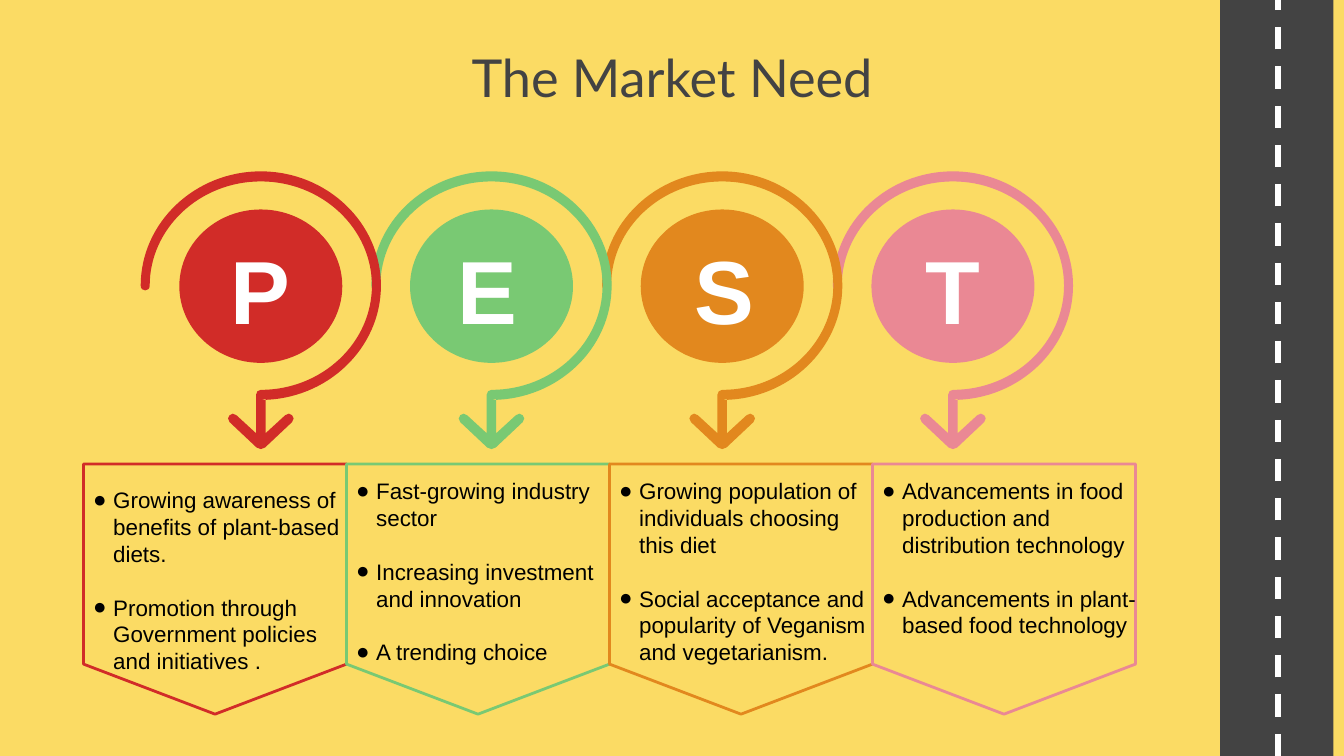
from collections import namedtuple
from itertools import pairwise

from lxml.etree import SubElement
from pptx import Presentation
from pptx.dml.color import RGBColor
from pptx.enum.dml import MSO_LINE
from pptx.enum.shapes import MSO_CONNECTOR, MSO_SHAPE
from pptx.enum.text import MSO_ANCHOR, MSO_AUTO_SIZE, PP_ALIGN
from pptx.oxml.ns import qn
from pptx.util import Cm, Pt

COLORS = {
    "background": "FBDB64",
    "road": "434343",
    "white": "FFFFFF",
    "black": "000000",
    "red": "D12C28",
    "green": "79C973",
    "orange": "E2881E",
    "pink": "EA8894",
}
SLIDE_WIDTH, SLIDE_HEIGHT = 25.4, 14.29

Topic = namedtuple("Topic", "letter color letter_shift text_drop text_height points")
TOPICS = [
    Topic("P", "red", 0, 0.17, 4.11, [
        "Growing awareness of benefits of plant-based diets.",
        "Promotion through Government policies and initiatives ."]),
    Topic("E", "green", -0.07, 0, 4.62, [
        "Fast-growing industry sector",
        "Increasing investment and innovation",
        "A trending choice"]),
    Topic("S", "orange", 0.04, 0, 4.62, [
        "Growing population of individuals choosing this diet",
        "Social acceptance and popularity of Veganism and vegetarianism."]),
    Topic("T", "pink", 0, 0, 4.11, [
        "Advancements in food production and distribution technology",
        "Advancements in plant-based food technology"]),
]

# Right half of the arrow below a ring, as offsets in cm from the ring's centre
ARROW_HALF = [(0.09, 2.79), (0.46, 2.45), (0.53, 2.42), (0.59, 2.45),
              (0.62, 2.51), (0.59, 2.58), (0.08, 3.06), (0, 3.09)]
# Control point distance that makes a Bezier curve a quarter of an ellipse
QUARTER = 0.55


def rgb(name):
    return RGBColor.from_string(COLORS[name])


def box(left, top, width, height):
    return Cm(left), Cm(top), Cm(width), Cm(height)


def paint(shape, fill=None, line=None, width=1.5):
    shape.shadow.inherit = False
    if fill:
        shape.fill.solid()
        shape.fill.fore_color.rgb = rgb(fill)
    else:
        shape.fill.background()
    if line:
        shape.line.color.rgb = rgb(line)
        shape.line.width = Pt(width)
    else:
        shape.line.fill.background()


def set_font(paragraph, name, size, color, bold=False):
    font = paragraph.font
    font.name, font.size, font.bold = name, Pt(size), bold
    font.color.rgb = rgb(color)


def set_frame(frame, auto_size):
    frame.word_wrap = True
    frame.auto_size = auto_size
    frame.vertical_anchor = MSO_ANCHOR.TOP
    frame.margin_left = frame.margin_right = Cm(0.25)
    frame.margin_top = frame.margin_bottom = Cm(0.25)


def add_text_box(slide, left, top, width, height):
    frame = slide.shapes.add_textbox(*box(left, top, width, height)).text_frame
    set_frame(frame, MSO_AUTO_SIZE.SHAPE_TO_FIT_TEXT)
    return frame


def add_road(slide, left, width):
    road = slide.shapes.add_shape(
        MSO_SHAPE.RECTANGLE, *box(left, 0, width, SLIDE_HEIGHT))
    paint(road, fill="road")
    middle = Cm(left + width / 2 + 0.02)
    lane = slide.shapes.add_connector(
        MSO_CONNECTOR.STRAIGHT, middle, Cm(SLIDE_HEIGHT), middle, Cm(0))
    lane.line.color.rgb = rgb("white")
    lane.line.width = Pt(3)
    lane.line.dash_style = MSO_LINE.DASH
    SubElement(lane.line._get_or_add_ln().getparent(), qn("a:effectLst"))


def add_title(slide, text, left, top, width, height):
    title = slide.shapes.title
    title.left, title.top, title.width, title.height = box(left, top, width, height)
    title.text_frame.text = text
    set_frame(title.text_frame, MSO_AUTO_SIZE.NONE)
    paragraph = title.text_frame.paragraphs[0]
    paragraph.alignment = PP_ALIGN.CENTER
    set_font(paragraph, "Lato", 28, "road")


def quarter_arcs(corners):
    """Return one three-point curve for each pair of neighbouring ellipse vertices."""
    return [[(x1 + QUARTER * x2, y1 + QUARTER * y2),
             (x2 + QUARTER * x1, y2 + QUARTER * y1), (x2, y2)]
            for (x1, y1), (x2, y2) in pairwise(corners)]


def swirl_segments():
    """Return a ring ending in a down arrow: one point is a line, three are a curve."""
    outer = quarter_arcs([(0, 2.16), (2.27, 0), (0, -2.16), (-2.27, 0)])
    cap = [[(-2.27, 0.12), (-2.1, 0.12), (-2.1, 0)]]
    inner = quarter_arcs([(-2.1, 0), (0, -1.97), (2.1, 0), (0, 1.97)])
    shoulder = [[(-0.05, 1.97), (-0.09, 2.01), (-0.09, 2.06)]]
    left_half = [[(-x, y)] for x, y in ARROW_HALF]
    right_half = [[point] for point in ARROW_HALF[-2::-1]]
    return outer + cap + inner + shoulder + left_half + right_half + [[(0.09, 2.14)]]


def add_curved_freeform(slide, start, segments):
    """Build an outline, then join each three-point segment into a Bezier curve."""
    builder = slide.shapes.build_freeform(*start)
    builder.add_line_segments([point for segment in segments for point in segment])
    shape = builder.convert_to_shape()
    lines = iter(list(shape._element.iter(qn("a:lnTo"))))
    for segment in segments:
        group = [next(lines) for _ in segment]
        if len(group) == 3:
            group[0].tag = qn("a:cubicBezTo")
            for line in group[1:]:
                group[0].append(line[0])
                line.getparent().remove(line)
    return shape


def add_swirl(slide, topic, center_x, center_y):
    segments = [[(Cm(center_x + x), Cm(center_y + y)) for x, y in segment]
                for segment in swirl_segments()]
    start = Cm(center_x), Cm(center_y + 2.16)
    paint(add_curved_freeform(slide, start, segments), fill=topic.color)

    width, height = 3.08, 2.9
    disc = slide.shapes.add_shape(MSO_SHAPE.OVAL, *box(
        center_x - width / 2, center_y + 0.01 - height / 2, width, height))
    paint(disc, fill=topic.color)

    frame = add_text_box(slide, center_x + topic.letter_shift - 1.37,
                         center_y - 1.21, 2.74, 2.57)
    paragraph = frame.paragraphs[0]
    paragraph.text = topic.letter
    paragraph.alignment = PP_ALIGN.CENTER
    set_font(paragraph, "Arial", 48, "white", bold=True)


def add_bullet(paragraph):
    properties = paragraph._p.get_or_add_pPr()
    properties.set("marL", str(Cm(0.64)))
    properties.set("indent", str(-Cm(0.38)))
    color = SubElement(properties, qn("a:buClr"))
    SubElement(color, qn("a:srgbClr")).set("val", COLORS["black"])
    SubElement(properties, qn("a:buSzPts")).set("val", "1200")
    SubElement(properties, qn("a:buFont")).set("typeface", "Arial")
    SubElement(properties, qn("a:buChar")).set("char", "●")


def add_card(slide, topic, left, top, width, height):
    card = slide.shapes.add_shape(
        MSO_SHAPE.FLOWCHART_OFFPAGE_CONNECTOR, *box(left, top, width, height))
    paint(card, line=topic.color)

    overhang = 0.33
    frame = add_text_box(slide, left - overhang, top + topic.text_drop,
                         width + 2 * overhang, topic.text_height)
    for index, point in enumerate(topic.points):
        paragraph = frame.add_paragraph() if index else frame.paragraphs[0]
        paragraph.text = point
        add_bullet(paragraph)
        paragraph.line_spacing = Pt(14.4)
        if index:
            paragraph.space_before = Pt(14.4)
        set_font(paragraph, "Arial", 12, "black")


def main():
    presentation = Presentation()
    presentation.slide_width = Cm(SLIDE_WIDTH)
    presentation.slide_height = Cm(SLIDE_HEIGHT)
    slide = presentation.slides.add_slide(presentation.slide_layouts[5])
    slide.background.fill.solid()
    slide.background.fill.fore_color.rgb = rgb("background")

    add_road(slide, 23.06, 2.14)
    add_title(slide, "The Market Need", 1.27, 0.61, 22.86, 1.6)
    # Each ring overlaps the one to its right
    for index, topic in reversed(list(enumerate(TOPICS))):
        add_swirl(slide, topic, 4.93 + 4.36 * index, 5.4)
    for index, topic in enumerate(TOPICS):
        add_card(slide, topic, 1.58 + 4.97 * index, 8.77, 4.97, 4.73)
    presentation.save("out.pptx")


if __name__ == "__main__":
    main()
